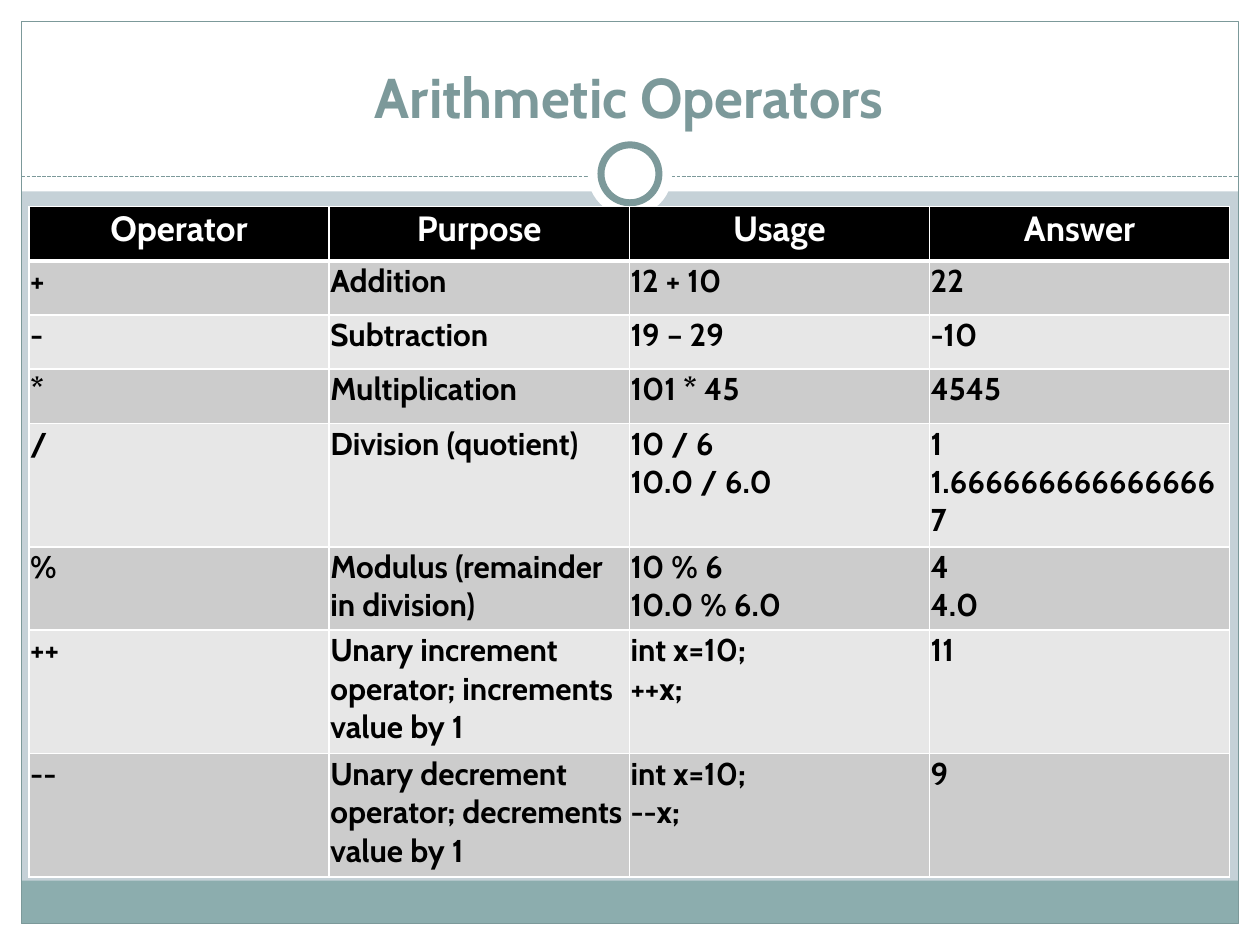
import lxml.etree
import pptx
import pptx.dml.color
import pptx.enum.dml
import pptx.enum.shapes
import pptx.enum.text
import pptx.oxml.ns
import pptx.util

Inches = pptx.util.Inches
Pt = pptx.util.Pt
Shape = pptx.enum.shapes.MSO_SHAPE
Align = pptx.enum.text.PP_ALIGN
qn = pptx.oxml.ns.qn

WHITE, BLACK, TEAL = "FFFFFF", "000000", "7C999A"
BAND, BACKGROUND = "8CADAE", "C5D1D7"
ROW_FILLS = ("CCCCCC", "E7E7E7")
FONT = "Cabin"

# "\n" starts a paragraph, "\v" breaks a line within one.
OPERATORS = [
    ("Operator", "Purpose", "Usage", "Answer"),
    ("+", "Addition", "12 + 10", "22"),
    ("-", "Subtraction", "19 – 29", "-10"),
    ("*", "Multiplication", "101 * 45", "4545"),
    ("/", "Division (quotient)", "10 / 6\v10.0 / 6.0", "1\n1.6666666666666667"),
    ("%", "Modulus (remainder in division)", "10 % 6\v10.0 % 6.0", "4\n4.0"),
    ("++", "Unary increment operator; increments value by 1", "int x=10;\n++x;", "11"),
    ("--", "Unary decrement operator; decrements value by 1", "int x=10;\n--x;", "9"),
]
ROW_HEIGHTS = (0.43, 0.43, 0.43, 0.43, 0.98, 0.66, 0.98, 0.98)


def rgb(value):
    return pptx.dml.color.RGBColor.from_string(value)


def write(frame, text, size=18, color=BLACK, bold=True, align=Align.LEFT):
    frame.text = text
    for paragraph in frame.paragraphs:
        paragraph.alignment = align
        for run in paragraph.runs:
            run.font.name = FONT
            run.font.size = Pt(size)
            run.font.bold = bold
            run.font.color.rgb = rgb(color)


def add_block(slide, kind, box, fill=None, line=None, width=0.75):
    block = slide.shapes.add_shape(kind, *map(Inches, box))
    block.shadow.inherit = False
    if fill:
        block.fill.solid()
        block.fill.fore_color.rgb = rgb(fill)
    else:
        block.fill.background()
    if line:
        block.line.color.rgb = rgb(line)
        block.line.width = Pt(width)
    else:
        block.line.fill.background()


def add_frame(slide, left, top, width, height):
    """White margins, header band, footer band and outline."""
    margin = 0.17
    right, bottom = left + width, top + height
    for box in (
        (left, bottom - margin, width, margin),
        (left, top, width, 1.52),
        (left, top, margin, height),
        (right - margin, top, margin, height),
    ):
        add_block(slide, Shape.RECTANGLE, box, WHITE)
    inner_width = width - 2 * margin
    add_block(slide, Shape.RECTANGLE,
              (left + margin, bottom - margin - 0.34, inner_width, 0.34), BAND)
    add_block(slide, Shape.RECTANGLE,
              (left + margin, top + margin, inner_width, height - 2 * margin), line=TEAL)


def add_divider(slide, left, center_y, width):
    """Dashed rule with a ring at its middle."""
    rule = slide.shapes.add_connector(
        pptx.enum.shapes.MSO_CONNECTOR.STRAIGHT,
        Inches(left), Inches(center_y), Inches(left + width), Inches(center_y))
    rule.line.color.rgb = rgb(TEAL)
    rule.line.width = Pt(0.75)
    rule.line.dash_style = pptx.enum.dml.MSO_LINE.SQUARE_DOT
    lxml.etree.SubElement(rule._element.spPr, qn("a:effectLst"))

    center_x = left + width / 2
    ring_y = center_y - 0.02
    for size, line in ((0.67, None), (0.46, TEAL)):
        box = (center_x - size / 2, ring_y - size / 2, size, size)
        add_block(slide, Shape.OVAL, box, WHITE, line, 4)


def place_title(slide, text, *box):
    title = slide.shapes.title
    title.left, title.top, title.width, title.height = map(Inches, box)
    title.text_frame.vertical_anchor = pptx.enum.text.MSO_ANCHOR.BOTTOM
    title.text_frame.word_wrap = True
    write(title.text_frame, text, size=32, color=TEAL, align=Align.CENTER)
    slide.shapes._spTree.append(title._element)  # in front of the frame


def set_borders(cell, **widths):
    """Draw white borders; widths are points by side: L, R, T, B."""
    properties = cell._tc.get_or_add_tcPr()
    for index, side in enumerate("LRTB"):
        border = lxml.etree.Element(qn(f"a:ln{side}"), w=str(Pt(widths.get(side, 1))))
        fill = lxml.etree.SubElement(border, qn("a:solidFill"))
        lxml.etree.SubElement(fill, qn("a:srgbClr"), val=WHITE)
        properties.insert(index, border)


def add_operator_table(slide, left, top, width):
    columns = len(OPERATORS[0])
    table = slide.shapes.add_table(
        len(OPERATORS), columns, Inches(left), Inches(top),
        Inches(width), Inches(sum(ROW_HEIGHTS))).table
    for column in table.columns:
        column.width = Inches(width / columns)
    for row, height in zip(table.rows, ROW_HEIGHTS):
        row.height = Inches(height)

    for r, texts in enumerate(OPERATORS):
        for c, text in enumerate(texts):
            cell = table.cell(r, c)
            cell.margin_left = cell.margin_right = Inches(0.01)
            cell.margin_top = cell.margin_bottom = Inches(0.01)
            cell.fill.solid()
            if r == 0:
                cell.fill.fore_color.rgb = rgb(BLACK)
                write(cell.text_frame, text, size=20, color=WHITE, align=Align.CENTER)
            else:
                cell.fill.fore_color.rgb = rgb(ROW_FILLS[(r - 1) % 2])
                write(cell.text_frame, text)
            set_borders(cell, T=3 if r == 1 else 1, B=3 if r == 0 else 1)


def main():
    presentation = pptx.Presentation()
    presentation.slide_width = Inches(10)
    presentation.slide_height = Inches(7.5)
    slide = presentation.slides.add_slide(presentation.slide_layouts.get_by_name("Title Only"))
    slide.background.fill.solid()
    slide.background.fill.fore_color.rgb = rgb(BACKGROUND)

    add_frame(slide, 0, 0, 10, 7.5)
    add_divider(slide, 0.17, 1.4, 9.66)
    place_title(slide, "Arithmetic Operators", 0.33, 0.25, 9.33, 0.83)
    add_operator_table(slide, 0.23, 1.64, 9.53)
    presentation.save("out.pptx")


if __name__ == "__main__":
    main()
